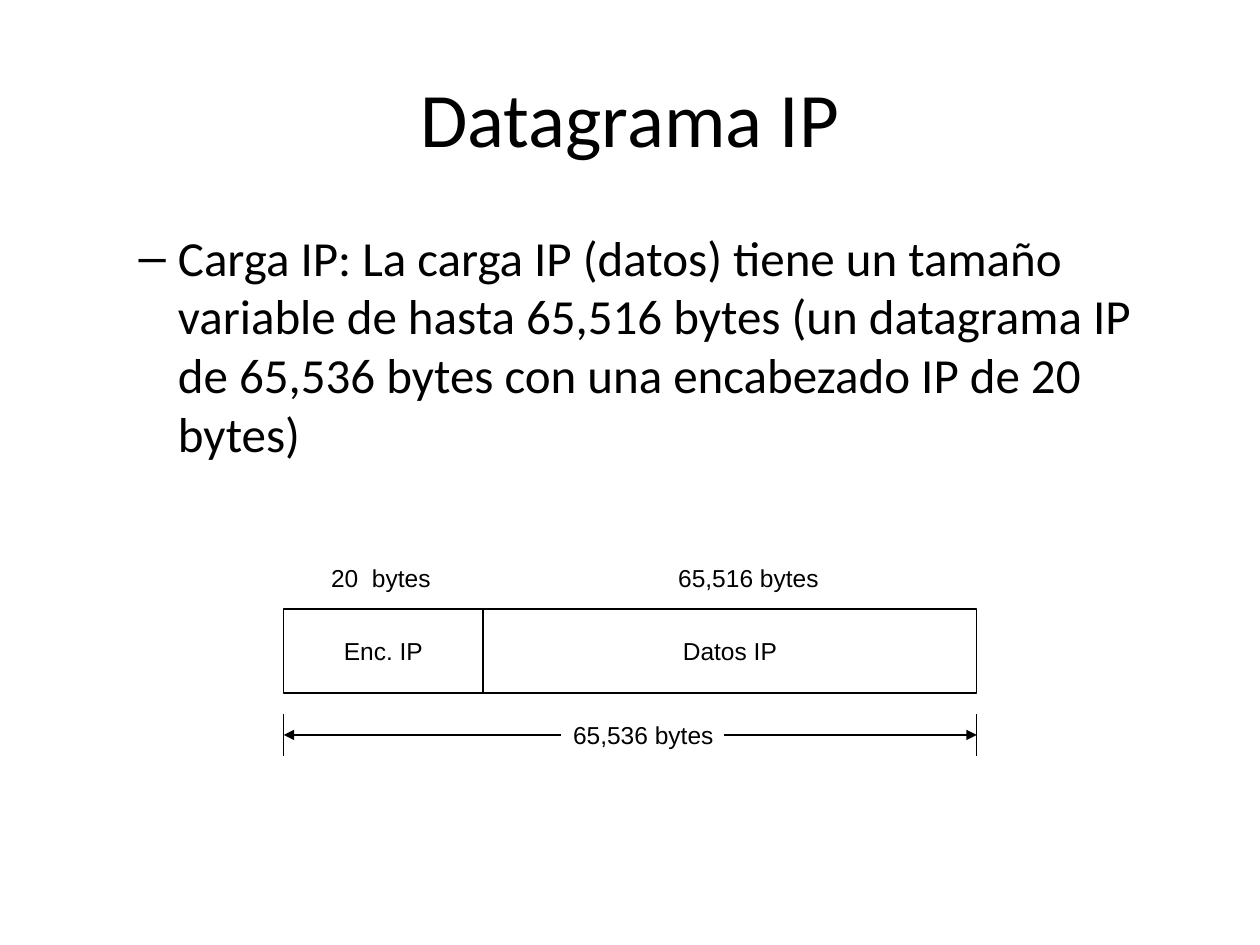
from lxml.etree import SubElement
from pptx import Presentation
from pptx.dml.color import RGBColor
from pptx.enum.shapes import MSO_CONNECTOR, MSO_SHAPE
from pptx.enum.text import MSO_ANCHOR, MSO_AUTO_SIZE, PP_ALIGN
from pptx.oxml.ns import qn
from pptx.util import Cm, Pt

INK, PAPER = "000000", "FFFFFF"


def color(code):
    return RGBColor.from_string(code)


class Page:
    """Style and current slide."""
    head, body, small = 44, 28, 14
    main, plain = "Calibri", "Arial"
    line = 0.75

    def __init__(self, deck):
        self.slide = deck.slides.add_slide(deck.slide_layouts[1])

    def fill_text(self, frame, text, size, font, align=None, level=0):
        frame.text = text
        para = frame.paragraphs[0]
        para.level = level
        para.alignment = align
        for run in para.runs:
            run.font.size = Pt(size)
            run.font.name = font
            run.font.color.rgb = color(INK)

    def place(self, shape, left, top, width, height):
        shape.left, shape.top = Cm(left), Cm(top)
        shape.width, shape.height = Cm(width), Cm(height)

    def title(self, text, *area):
        shape = self.slide.shapes.title
        self.place(shape, *area)
        shape.text_frame.vertical_anchor = MSO_ANCHOR.MIDDLE
        self.fill_text(shape.text_frame, text, self.head, self.main, PP_ALIGN.CENTER)

    def item(self, text, *area):
        shape = self.slide.placeholders[1]
        self.place(shape, *area)
        self.fill_text(shape.text_frame, text, self.body, self.main, level=1)

    def field(self, text, left, top, width, height):
        shape = self.slide.shapes.add_shape(
            MSO_SHAPE.RECTANGLE, Cm(left), Cm(top), Cm(width), Cm(height))
        shape.shadow.inherit = False
        shape.fill.solid()
        shape.fill.fore_color.rgb = color(PAPER)
        shape.line.color.rgb = color(INK)
        shape.line.width = Pt(self.line)
        frame = shape.text_frame
        frame.word_wrap = False
        frame.vertical_anchor = MSO_ANCHOR.MIDDLE
        self.fill_text(frame, text, self.small, self.plain, PP_ALIGN.CENTER)

    def label(self, text, left, top, width=3.5, height=0.85):
        box = self.slide.shapes.add_textbox(Cm(left), Cm(top), Cm(width), Cm(height))
        box.fill.solid()
        box.fill.fore_color.rgb = color(PAPER)
        frame = box.text_frame
        frame.word_wrap = True
        frame.auto_size = MSO_AUTO_SIZE.SHAPE_TO_FIT_TEXT
        self.fill_text(frame, text, self.small, self.plain, PP_ALIGN.CENTER)

    def rule(self, x1, y1, x2, y2, arrow=False):
        link = self.slide.shapes.add_connector(
            MSO_CONNECTOR.STRAIGHT, Cm(x1), Cm(y1), Cm(x2), Cm(y2))
        link.line.color.rgb = color(INK)
        link.line.width = Pt(self.line)
        props = link._element.spPr
        if arrow:
            SubElement(props.find(qn("a:ln")), qn("a:tailEnd"), type="triangle")
        SubElement(props, qn("a:effectLst"))


def main():
    deck = Presentation()
    deck.slide_width, deck.slide_height = Cm(25.4), Cm(19.05)
    page = Page(deck)

    # Heading and text
    page.title("Datagrama IP", 1.27, 0.76, 22.86, 3.18)
    page.item("Carga IP: La carga IP (datos) tiene un tamaño variable de hasta "
              "65,516 bytes (un datagrama IP de 65,536 bytes con una encabezado "
              "IP de 20 bytes)", 1.27, 4.45, 22.86, 12.57)

    # Datagram fields
    left, split, right = 5.72, 9.74, 19.69
    top, high = 12.28, 1.69
    page.field("Enc. IP", left, top, split - left, high)
    page.field("Datos IP", split, top, right - split, high)

    # Total length
    mark, tick = 14.39, 0.85
    mid = mark + tick / 2
    page.label("65,536 bytes", 11.22, mark)
    for edge, start in ((right, 14.59), (left, 11.31)):
        page.rule(edge, mark, edge, mark + tick)
        page.rule(start, mid, edge, mid, arrow=True)

    # Field lengths
    for text, x in (("20  bytes", 5.93), ("65,516 bytes", 13.34)):
        page.label(text, x, 11.22)

    deck.save("out.pptx")


if __name__ == "__main__":
    main()
